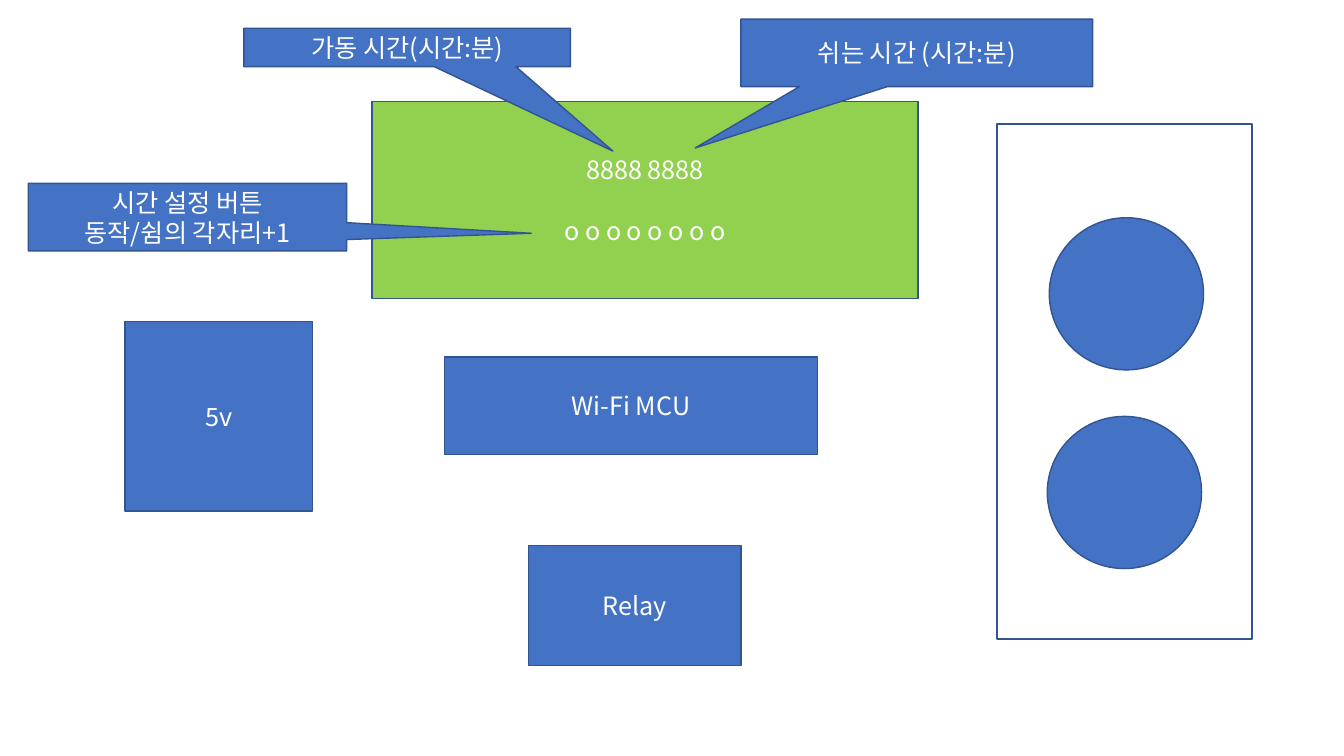
from lxml import etree
from pptx import Presentation
from pptx.dml.color import RGBColor
from pptx.enum import shapes, text
from pptx.oxml import ns
from pptx.util import Pt

FONT = "Noto Sans CJK KR"
BLUE, GREEN, OUTLINE, WHITE = "4472C4", "92D050", "325491", "FFFFFF"
LINE_GAP = 22

PARTS = [
    ("Wi-Fi MCU", (317.5, 254.9, 266.4, 69.8), BLUE),
    ("8888 8888\no o o o o o o o", (265.7, 72.7, 390.2, 140.4), GREEN),
    ("Relay", (377.3, 389.5, 151.9, 85.7), BLUE),
    ("5v", (89.3, 229.7, 133.9, 135.4), BLUE),
    ("", (712.1, 88.6, 182.2, 367.9), None),
]
SOCKETS = [(749.5, 155.5), (748.1, 297.4)]
CALLOUTS = [
    ("가동 시간(시간:분)", (174.2, 20.2, 233.3, 27.4), (0.63, 2.7)),
    ("쉬는 시간 (시간:분)", (529.2, 13.7, 251.3, 48.2), (-0.63, 1.41)),
    ("시간 설정 버튼\n동작/쉼의 각자리+1", (20.2, 131, 227.5, 48.2), (1.08, 0.24)),
]


def color(value):
    """Return the colour for a hex string."""
    return RGBColor.from_string(value)


def add_box(slide, kind, box, fill):
    """Add an outlined preset shape; no fill when fill is None."""
    shape = slide.shapes.add_shape(kind, *(Pt(length) for length in box))
    shape.shadow.inherit = False
    if fill:
        shape.fill.solid()
        shape.fill.fore_color.rgb = color(fill)
    else:
        shape.fill.background()
    shape.line.color.rgb = color(OUTLINE)
    shape.line.width = Pt(1)
    return shape


def add_label(shape, wording, gap=0):
    """Write centred white lines in a shape, with a gap between them."""
    frame = shape.text_frame
    frame.word_wrap = True
    frame.vertical_anchor = text.MSO_ANCHOR.MIDDLE
    for index, line in enumerate(wording.split("\n")):
        paragraph = frame.add_paragraph() if index else frame.paragraphs[0]
        paragraph.alignment = text.PP_ALIGN.CENTER
        paragraph.space_before = Pt(gap if index else 0)
        run = paragraph.add_run()
        run.text = line
        run.font.size = Pt(18)
        run.font.color.rgb = color(WHITE)
        run.font.name = FONT
        east_asian = etree.SubElement(run.font._element, ns.qn("a:ea"))
        east_asian.set("typeface", FONT)


def add_callout(slide, wording, box, tip):
    """Add a labelled callout whose tip is relative to its centre."""
    shape = add_box(slide, shapes.MSO_SHAPE.RECTANGULAR_CALLOUT, box, BLUE)
    for index, offset in enumerate(tip):
        shape.adjustments[index] = offset
    add_label(shape, wording)


def main():
    """Build the timer wiring slide."""
    presentation = Presentation()
    presentation.slide_width, presentation.slide_height = Pt(960), Pt(540)
    slide = presentation.slides.add_slide(presentation.slide_layouts[6])
    for wording, box, fill in PARTS:
        part = add_box(slide, shapes.MSO_SHAPE.RECTANGLE, box, fill)
        if wording:
            add_label(part, wording, LINE_GAP)
    for left, top in SOCKETS:
        add_box(slide, shapes.MSO_SHAPE.OVAL, (left, top, 110.2, 108.7), BLUE)
    for wording, box, tip in CALLOUTS:
        add_callout(slide, wording, box, tip)
    presentation.save("out.pptx")


main()
